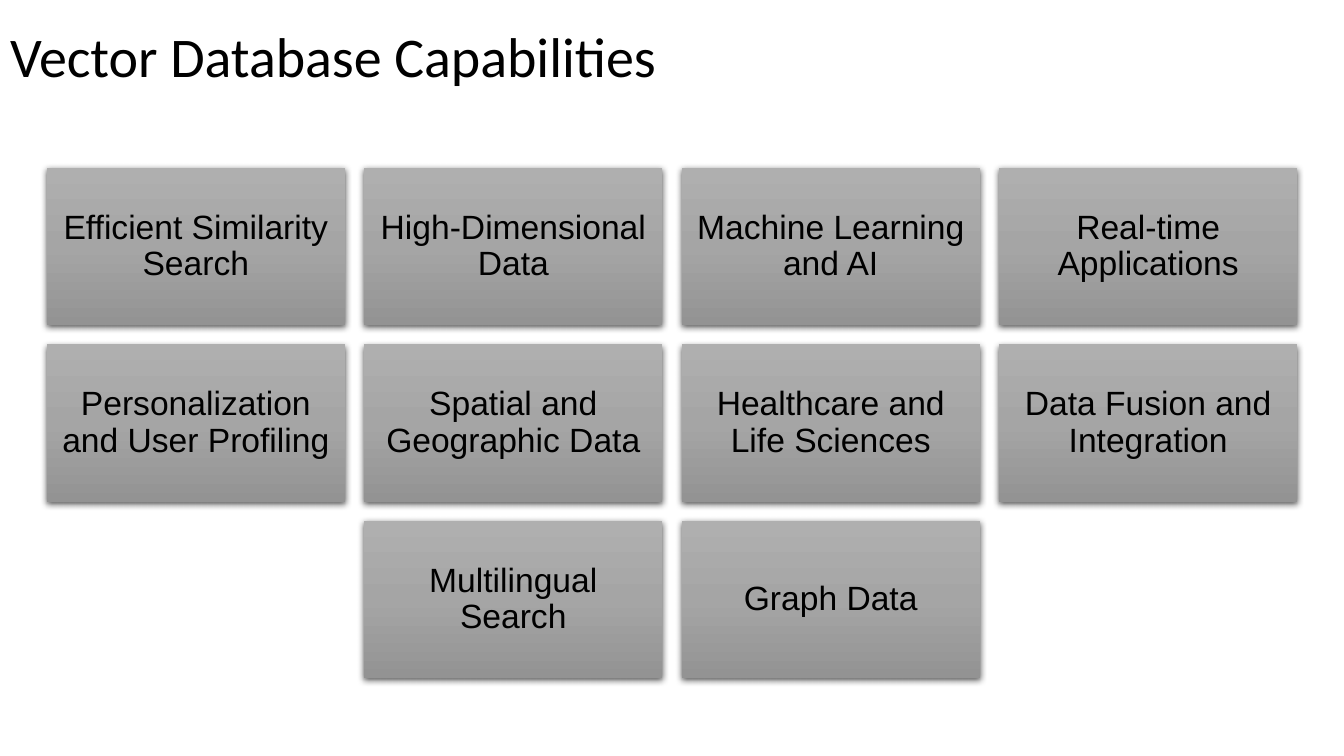
from pptx import Presentation, oxml as ox, util as u
from pptx.dml import color
from pptx.enum import shapes, text
from pptx.oxml import ns

COLORS = {"text": "000000", "top": "AFAFAF", "middle": "A5A5A5", "bottom": "939393", "shadow": "000000"}
PAGE = {"slide_width": u.Pt(960), "slide_height": u.Pt(540)}
TITLE = "Vector Database Capabilities"
TITLE_BOX = (0, 0, 960, 104)
GRID_BOX = (33.3, 120, 893.4, 364.4)
GAP = 13.6
ROWS = [
    ["Efficient Similarity Search", "High-Dimensional Data", "Machine Learning and AI", "Real-time Applications"],
    ["Personalization and User Profiling", "Spatial and Geographic Data", "Healthcare and Life Sciences",
     "Data Fusion and Integration"],
    ["Multilingual Search", "Graph Data"],
]
FRAME = {
    "word_wrap": True,
    "auto_size": text.MSO_AUTO_SIZE.NONE,
    "vertical_anchor": text.MSO_ANCHOR.MIDDLE,
    "margin_left": u.Pt(7.2),
    "margin_right": u.Pt(7.2),
}
TITLE_FRAME = {**FRAME, "margin_top": u.Pt(3.6), "margin_bottom": u.Pt(23)}
CARD_FRAME = {**FRAME, "margin_top": u.Pt(7.2), "margin_bottom": u.Pt(7.2)}
TITLE_PARA = {"alignment": text.PP_ALIGN.LEFT, "line_spacing": 0.9}
CARD_PARA = {"alignment": text.PP_ALIGN.CENTER, "line_spacing": 0.9}
TITLE_FONT = {"name": "Calibri", "size": u.Pt(40), "bold": False}
CARD_FONT = {"name": "Arial", "size": u.Pt(24), "bold": False}


def apply_format(target, values):
    """Set each named attribute of the target."""
    for name, value in values.items():
        setattr(target, name, value)


def write_text(shape, words, frame_format, para_format, font_format):
    """Fill a shape with one formatted paragraph."""
    frame = shape.text_frame
    apply_format(frame, frame_format)
    para = frame.paragraphs[0]
    apply_format(para, para_format)
    span = para.add_run()
    span.text = words
    apply_format(span.font, font_format)
    span.font.color.rgb = color.RGBColor.from_string(COLORS["text"])


def paint_card(card):
    """Give a card its vertical gradient and soft shadow, without an outline."""
    card.line.fill.background()
    outline = card.element.spPr.find(ns.qn("a:ln"))
    stops = "".join(
        f'<a:gs pos="{position}"><a:srgbClr val="{COLORS[name]}"/></a:gs>'
        for position, name in ((0, "top"), (50000, "middle"), (100000, "bottom"))
    )
    outline.addprevious(ox.parse_xml(
        f'<a:gradFill {ns.nsdecls("a")} rotWithShape="1"><a:gsLst>{stops}</a:gsLst>'
        '<a:lin ang="5400000" scaled="0"/></a:gradFill>'
    ))
    outline.addnext(ox.parse_xml(
        f'<a:effectLst {ns.nsdecls("a")}><a:outerShdw blurRad="{u.Pt(4.5)}" dist="{u.Pt(1.5)}"'
        f' dir="5400000" algn="ctr" rotWithShape="0"><a:srgbClr val="{COLORS["shadow"]}">'
        '<a:alpha val="63000"/></a:srgbClr></a:outerShdw></a:effectLst>'
    ))


def add_title(page, box):
    """Place the slide title in the given box."""
    title = page.shapes.title
    apply_format(title, dict(zip(("left", "top", "width", "height"), map(u.Pt, box))))
    write_text(title, TITLE, TITLE_FRAME, TITLE_PARA, TITLE_FONT)


def add_cards(page, box):
    """Lay out the capability cards in rows, each centred in the given box."""
    left, top, width, height = box
    columns = max(map(len, ROWS))
    card_width = (width - GAP * (columns - 1)) / columns
    card_height = (height - GAP * (len(ROWS) - 1)) / len(ROWS)
    for row, names in enumerate(ROWS):
        indent = (columns - len(names)) * (card_width + GAP) / 2
        for column, name in enumerate(names):
            place = (left + indent + column * (card_width + GAP), top + row * (card_height + GAP),
                     card_width, card_height)
            card = page.shapes.add_shape(shapes.MSO_SHAPE.RECTANGLE, *map(u.Pt, place))
            paint_card(card)
            write_text(card, name, CARD_FRAME, CARD_PARA, CARD_FONT)


def main():
    """Build and save the deck."""
    deck = Presentation()
    apply_format(deck, PAGE)
    page = deck.slides.add_slide(deck.slide_layouts.get_by_name("Title Only"))
    add_title(page, TITLE_BOX)
    add_cards(page, GRID_BOX)
    deck.save("out.pptx")


if __name__ == "__main__":
    main()
